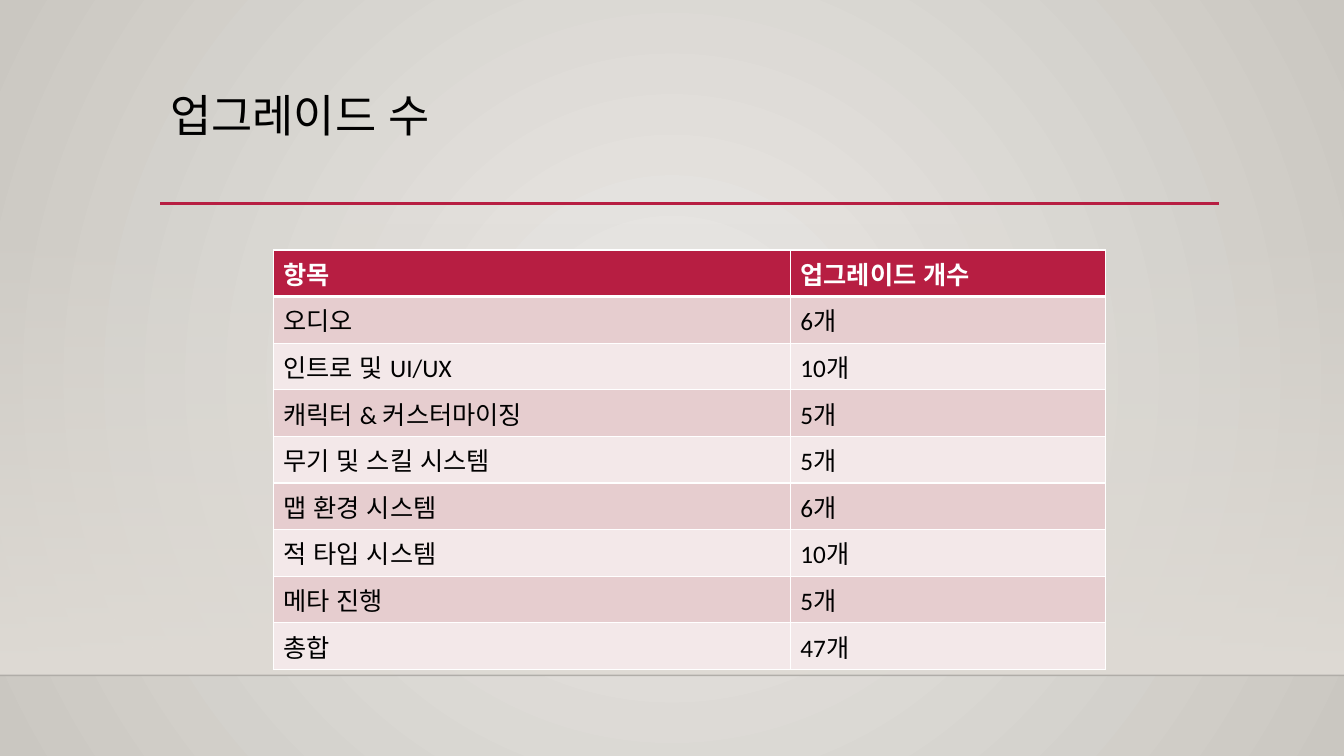
from dataclasses import dataclass

from lxml import etree
from pptx import Presentation, util as u
from pptx.dml import color
from pptx.enum import lang, shapes, text
from pptx.oxml import ns

COLORS = {
    "crimson": "B71E42",
    "rose": "E6CDCF",
    "blush": "F3E8E9",
    "white": "FFFFFF",
    "black": "000000",
    "backdrop_center": "ECEAE7",
    "backdrop_edge": "CAC7C1",
    "wall": "DFDBD5",
}
FONT = "Calibri"
SLIDE_WIDTH, SLIDE_HEIGHT = u.Inches(13.33), u.Inches(7.5)


@dataclass(frozen=True)
class Area:
    """A box in percent of the slide's width and height."""
    left: float
    top: float
    width: float
    height: float

    def box(self) -> tuple:
        return (across(self.left), down(self.top),
                across(self.width), down(self.height))


@dataclass(frozen=True)
class Rule:
    """A horizontal line, placed in percent of the slide."""
    left: float
    right: float
    top: float
    color: str
    weight: float
    opacity: int = 100


@dataclass(frozen=True)
class Stop:
    position: int
    color: str
    opacity: int = 100


WALL = Area(0, 29.47, 100, 59.87)
TITLE = Area(11.93, 11.73, 78.77, 15.33)
COUNTS = Area(20.33, 33.07, 61.9, 55.5)
COLUMN_WIDTHS = (38.48, 23.42)
RULES = (
    Rule(0, 100, 89.33, "black", 1, 20),
    Rule(11.93, 90.7, 26.93, "crimson", 2.5),
)
HEADER = ("항목", "업그레이드 개수")
UPGRADES = (
    ("오디오", 6),
    ("인트로 및 UI/UX", 10),
    ("캐릭터 & 커스터마이징", 5),
    ("무기 및 스킬 시스템", 5),
    ("맵 환경 시스템", 6),
    ("적 타입 시스템", 10),
    ("메타 진행", 5),
)


def across(percent: float) -> int:
    return round(SLIDE_WIDTH * percent / 100)


def down(percent: float) -> int:
    return round(SLIDE_HEIGHT * percent / 100)


def rgb(name: str) -> color.RGBColor:
    return color.RGBColor.from_string(COLORS[name])


def add_node(parent, tag: str, **attributes):
    node = etree.SubElement(parent, ns.qn(tag))
    for key, value in attributes.items():
        node.set(key, str(value))
    return node


def set_opacity(color_node, percent: int) -> None:
    if percent < 100:
        add_node(color_node, "a:alpha", val=percent * 1000)


def set_gradient(fill, owner, stops: tuple, radial: bool = False) -> None:
    """Give the owner of a fill a radial or a top-to-bottom gradient."""
    fill.solid()
    solid = owner.find(".//" + ns.qn("a:solidFill"))
    gradient = etree.Element(ns.qn("a:gradFill"), rotWithShape="1")
    stop_list = add_node(gradient, "a:gsLst")
    for stop in stops:
        node = add_node(stop_list, "a:gs", pos=stop.position * 1000)
        set_opacity(add_node(node, "a:srgbClr", val=COLORS[stop.color]), stop.opacity)
    if radial:
        circle = add_node(gradient, "a:path", path="circle")
        add_node(circle, "a:fillToRect", l=50000, t=50000, r=50000, b=50000)
    else:
        add_node(gradient, "a:lin", ang=90 * 60000, scaled=0)
    solid.getparent().replace(solid, gradient)


def underline_cell(cell, ink: str, weight: float) -> None:
    border = etree.Element(ns.qn("a:lnB"), w=str(u.Pt(weight)))
    add_node(add_node(border, "a:solidFill"), "a:srgbClr", val=COLORS[ink])
    cell.fill.solid()
    cell._tc.tcPr.insert(0, border)


def write(frame, wording: str, *, size: float, ink: str = "black",
          bold: bool = False, spacing: float | None = None) -> None:
    paragraph = frame.paragraphs[0]
    paragraph.line_spacing = spacing
    run = paragraph.add_run()
    run.text = wording
    run.font.name, run.font.size, run.font.bold = FONT, u.Pt(size), bold
    run.font.language_id = lang.MSO_LANGUAGE_ID.KOREAN
    run.font.color.rgb = rgb(ink)


def draw_backdrop(slide) -> None:
    set_gradient(slide.background.fill, slide.element,
                 (Stop(0, "backdrop_center"), Stop(100, "backdrop_edge")), radial=True)
    wall = slide.shapes.add_shape(shapes.MSO_SHAPE.RECTANGLE, *WALL.box())
    wall.shadow.inherit = False
    set_gradient(wall.fill, wall.element.spPr, (Stop(0, "wall", 0), Stop(100, "wall")))
    wall.line.fill.background()


def draw_rule(slide, rule: Rule) -> None:
    line = slide.shapes.add_connector(
        shapes.MSO_CONNECTOR.STRAIGHT, across(rule.left), down(rule.top),
        across(rule.right), down(rule.top))
    line.line.color.rgb = rgb(rule.color)
    line.line.width = u.Pt(rule.weight)
    properties = line.element.spPr
    set_opacity(properties.find(".//" + ns.qn("a:srgbClr")), rule.opacity)
    add_node(properties, "a:effectLst")


def draw_title(slide) -> None:
    frame = slide.shapes.add_textbox(*TITLE.box()).text_frame
    frame.word_wrap = True
    frame.vertical_anchor = text.MSO_ANCHOR.TOP
    write(frame, "업그레이드 수", size=32, spacing=0.9)


def draw_counts(slide) -> None:
    total = sum(count for _, count in UPGRADES)
    counted = [(item, f"{count}개") for item, count in (*UPGRADES, ("총합", total))]
    rows = [HEADER, *counted]
    table = slide.shapes.add_table(len(rows), len(HEADER), *COUNTS.box()).table
    for column, width in zip(table.columns, COLUMN_WIDTHS):
        column.width = across(width)
    for index, row in enumerate(rows):
        is_header = index == 0
        band = "crimson" if is_header else "rose" if index % 2 else "blush"
        for cell, wording in zip(table.rows[index].cells, row):
            if is_header:
                underline_cell(cell, "white", 3)
            cell.fill.solid()
            cell.fill.fore_color.rgb = rgb(band)
            write(cell.text_frame, wording, size=18, bold=is_header,
                  ink="white" if is_header else "black")


def main() -> None:
    deck = Presentation()
    deck.slide_width, deck.slide_height = SLIDE_WIDTH, SLIDE_HEIGHT
    slide = deck.slides.add_slide(deck.slide_layouts[6])
    draw_backdrop(slide)
    for rule in RULES:
        draw_rule(slide, rule)
    draw_title(slide)
    draw_counts(slide)
    deck.save("out.pptx")


if __name__ == "__main__":
    main()
